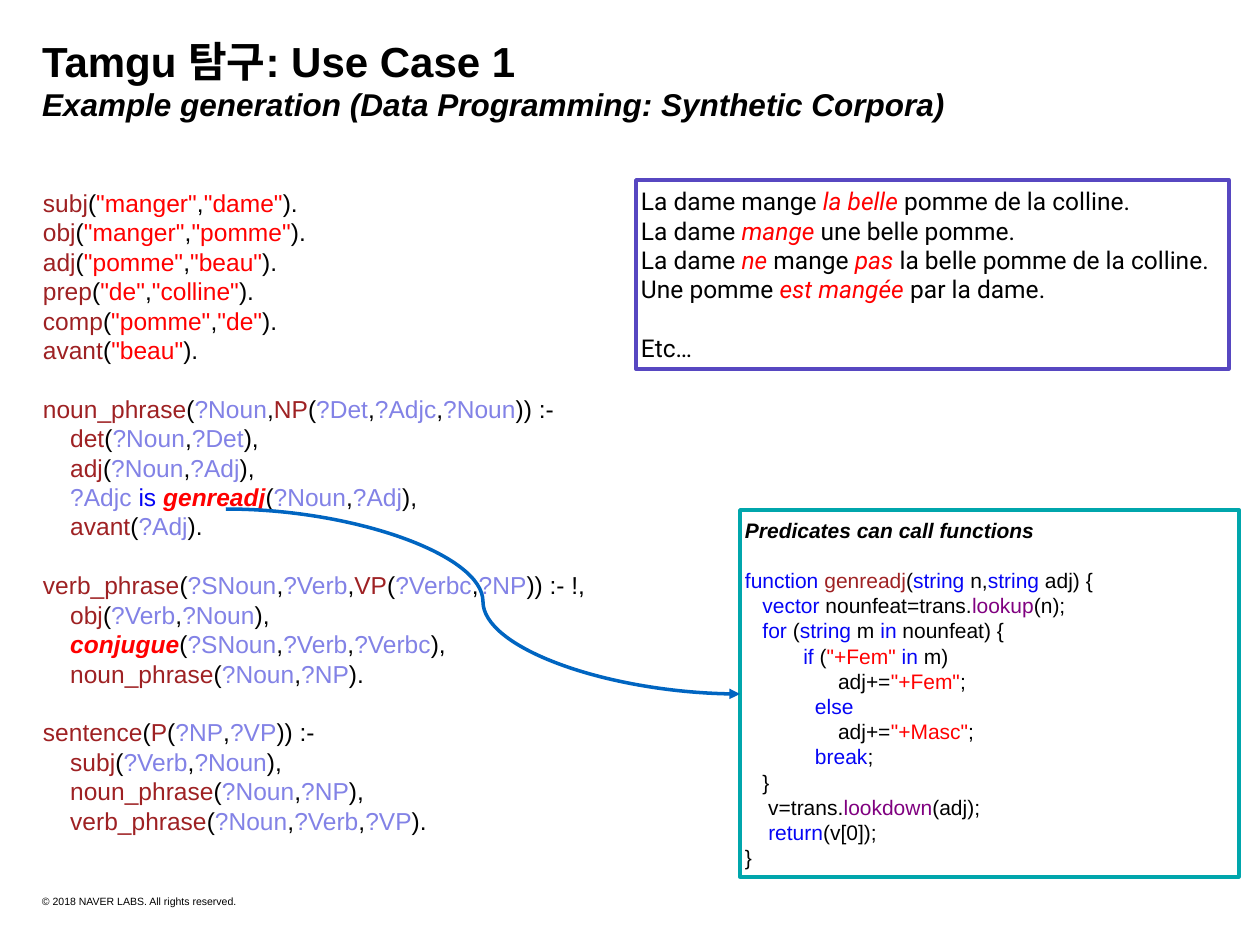
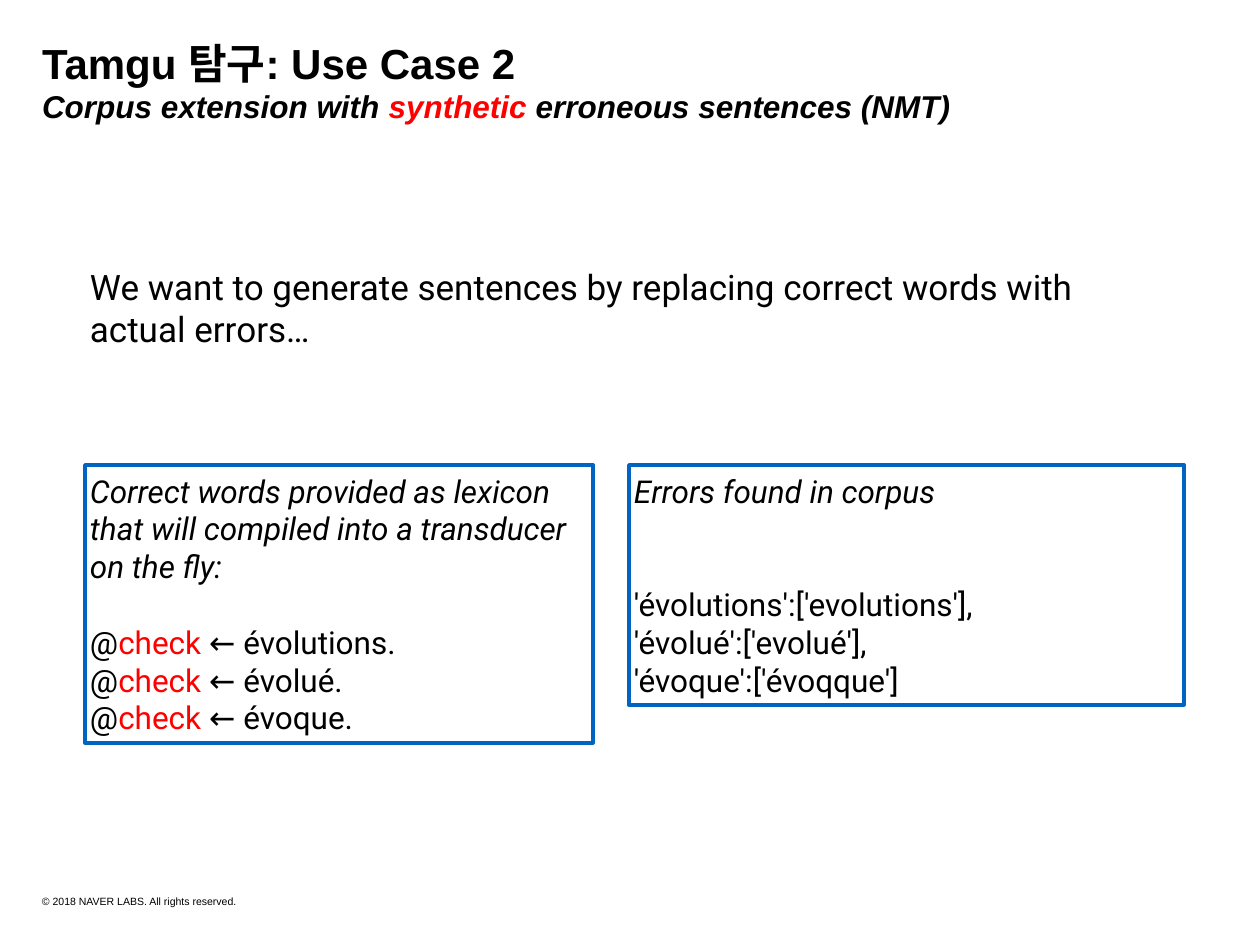
"""Build two slides on Tamgu use cases."""
from itertools import groupby
from typing import NamedTuple

from lxml import etree
from pptx import Presentation
from pptx.dml.color import RGBColor
from pptx.enum.shapes import MSO_CONNECTOR, MSO_SHAPE
from pptx.enum.text import MSO_ANCHOR, PP_ALIGN
from pptx.oxml.ns import qn
from pptx.slide import Slide
from pptx.text.text import TextFrame
from pptx.util import Emu, Pt

RECT = MSO_SHAPE.RECTANGLE
CURVE = MSO_CONNECTOR.CURVE
TOP, MIDDLE = MSO_ANCHOR.TOP, MSO_ANCHOR.MIDDLE
LEFT = PP_ALIGN.LEFT

BLACK = RGBColor(0, 0, 0)
WHITE = RGBColor(255, 255, 255)
RED = RGBColor(255, 0, 0)
BROWN = RGBColor(0x9E, 0x21, 0x23)
LILAC = RGBColor(0x82, 0x82, 0xE6)
BLUE = RGBColor(0x05, 0x05, 0xF5)
PURPLE = RGBColor(0x80, 0, 0x80)
VIOLET = RGBColor(0x57, 0x47, 0xC1)
TEAL = RGBColor(0, 0xA6, 0xAC)
AZURE = RGBColor(0, 0x65, 0xC1)

ARIAL, ROBOTO = "Arial", "Roboto"
SCALE = 914400 / 126
LEADING = 1.2


class Style(NamedTuple):
    color: RGBColor = BLACK
    bold: bool = False
    italic: bool = False


Line = list[tuple[str, Style]]


class Box(NamedTuple):
    x: int
    y: int
    w: int
    h: int
    lines: list[Line]
    font: str
    size: int
    edge: RGBColor | None = None
    inset: int = 5


PLAIN = Style()
SLANT = Style(italic=True)
STRONG = Style(bold=True)
LEAD = Style(bold=True, italic=True)
HOT = Style(RED)
HOT_SLANT = Style(RED, italic=True)
CALL = Style(RED, True, True)

RULE_WORDS = {"is": Style(BLUE), "genreadj": CALL, "conjugue": CALL}
CODE_WORDS = {
    **dict.fromkeys("function string vector for in if else break return".split(), Style(BLUE)),
    **dict.fromkeys(("lookup", "lookdown"), Style(PURPLE)),
    "genreadj": Style(BROWN),
}

RULES = """\
subj("manger","dame").
obj("manger","pomme").
adj("pomme","beau").
prep("de","colline").
comp("pomme","de").
avant("beau").

noun_phrase(?Noun,NP(?Det,?Adjc,?Noun)) :-
    det(?Noun,?Det),
    adj(?Noun,?Adj),
    ?Adjc is genreadj(?Noun,?Adj),
    avant(?Adj).

verb_phrase(?SNoun,?Verb,VP(?Verbc,?NP)) :- !,
    obj(?Verb,?Noun),
    conjugue(?SNoun,?Verb,?Verbc),
    noun_phrase(?Noun,?NP).

sentence(P(?NP,?VP)) :-
    subj(?Verb,?Noun),
    noun_phrase(?Noun,?NP),
    verb_phrase(?Noun,?Verb,?VP)."""

CODE = """\
function genreadj(string n,string adj) {
   vector nounfeat=trans.lookup(n);
   for (string m in nounfeat) {
          if ("+Fem" in m)
                adj+="+Fem";
            else
                adj+="+Masc";
            break;
   }
    v=trans.lookdown(adj);
    return(v[0]);
}"""

PHRASES = """\
La dame mange *la belle* pomme de la colline.
La dame *mange* une belle pomme.
La dame *ne* mange *pas* la belle pomme de la colline.
Une pomme *est mangée* par la dame.

Etc…"""

LEXICON = """\
Correct words provided as lexicon
that will compiled into a transducer
on the fly:"""

CHECKS = """\
@*check* ← évolutions.
@*check* ← évolué.
@*check* ← évoque."""

ERRORS = """\
'évolutions':['evolutions'],
'évolué':['evolué'],
'évoque':['évoqque']"""


def px(n: int) -> Emu:
    """Turn pixels into EMU."""
    return Emu(round(n * SCALE))


def mark(text: str, base: Style = PLAIN, accent: Style = HOT) -> list[Line]:
    """Split text into lines, with starred parts in the accent style."""
    return [
        [(part, accent if i % 2 else base) for i, part in enumerate(row.split("*")) if part]
        for row in text.split("\n")
    ]


def is_word(char: str) -> bool:
    """Tell whether a character belongs to a code word."""
    return char.isalnum() or char in '_?"+'


def lex(text: str, words: dict[str, Style], base: Style) -> list[Line]:
    """Split code into lines of coloured words."""
    def style(word: str) -> Style:
        """Choose the style of one word."""
        first = {'"': HOT, "?": Style(LILAC)}.get(word[0], base)
        return words.get(word, first)

    lines = []
    for row in text.split("\n"):
        parts = [(word, "".join(run)) for word, run in groupby(row, is_word)]
        lines.append([(part, style(part) if word else PLAIN) for word, part in parts])
    return lines


def write(frame: TextFrame, lines: list[Line], font: str, size: int) -> None:
    """Append lines, turning empty ones into space before the next."""
    gap = 0
    for line in lines:
        if not line:
            gap += 1
            continue
        para = frame.paragraphs[0]
        if para.runs:
            para = frame.add_paragraph()
        para.alignment = LEFT
        para.line_spacing = Pt(size * LEADING)
        para.space_before = Pt(gap * size * LEADING)
        para.font.name = font
        para.font.size = Pt(size)
        gap = 0
        for text, style in line:
            run = para.add_run()
            run.text = text
            run.font.color.rgb = style.color
            run.font.bold = style.bold
            run.font.italic = style.italic


def setup(frame: TextFrame, inset: int, anchor: MSO_ANCHOR) -> None:
    """Set wrap, margins and anchor of a frame."""
    frame.word_wrap = True
    frame.vertical_anchor = anchor
    frame.margin_left = frame.margin_right = px(inset)
    frame.margin_top = frame.margin_bottom = px(inset)


def draw(slide: Slide, box: Box) -> None:
    """Draw a text box, or a framed one when it has an edge."""
    place = [px(n) for n in box[:4]]
    if box.edge is None:
        shape = slide.shapes.add_textbox(*place)
    else:
        shape = slide.shapes.add_shape(RECT, *place)
        shape.shadow.inherit = False
        shape.fill.solid()
        shape.fill.fore_color.rgb = WHITE
        shape.line.color.rgb = box.edge
        shape.line.width = Pt(2)
    setup(shape.text_frame, box.inset, MIDDLE)
    write(shape.text_frame, box.lines, box.font, box.size)


def arrow(slide: Slide, x1: int, y1: int, x2: int, y2: int) -> None:
    """Draw a curved arrow."""
    link = slide.shapes.add_connector(CURVE, px(x1), px(y1), px(x2), px(y2))
    link.line.color.rgb = AZURE
    link.line.width = Pt(2)
    etree.SubElement(link.line._get_or_add_ln(), qn("a:tailEnd"), type="triangle")
    etree.SubElement(link._element.spPr, qn("a:effectLst"))


FOOTER = Box(38, 892, 275, 18, mark("© 2018 NAVER LABS. All rights reserved."), ARIAL, 6, inset=4)


def start(deck: Presentation, number: int, topic: str, y: int) -> Slide:
    """Add a slide with its title and footer."""
    slide = deck.slides.add_slide(deck.slide_layouts[5])
    title = slide.shapes.title
    title.left, title.top, title.width, title.height = px(38), px(y), px(1062), px(97)
    frame = title.text_frame
    setup(frame, 4, TOP)
    write(frame, mark(f"Tamgu 탐구: Use Case {number}", STRONG), ARIAL, 24)
    write(frame, mark(topic, LEAD, CALL), ARIAL, 18)
    draw(slide, FOOTER)
    return slide


def main() -> None:
    """Build and save the deck."""
    deck = Presentation()
    deck.slide_width, deck.slide_height = px(1260), px(945)

    slide = start(deck, 1, "Example generation (Data Programming: Synthetic Corpora)", 31)
    code = mark("Predicates can call functions\n", LEAD) + lex(CODE, CODE_WORDS, PLAIN)
    for box in (
        Box(38, 183, 590, 657, lex(RULES, RULE_WORDS, Style(BROWN)), ARIAL, 14),
        Box(636, 180, 593, 189, mark(PHRASES, accent=HOT_SLANT), ROBOTO, 14, VIOLET),
        Box(740, 510, 499, 367, code, ARIAL, 12, TEAL),
    ):
        draw(slide, box)
    arrow(slide, 226, 509, 740, 694)

    slide = start(deck, 2, "Corpus extension with *synthetic* erroneous sentences (NMT)", 33)
    aim = mark("We want to generate sentences by replacing correct words with actual errors…")
    lexicon = mark(LEXICON + "\n", SLANT) + mark(CHECKS)
    errors = mark("Errors found in corpus\n\n", SLANT) + mark(ERRORS)
    for box in (
        Box(85, 260, 1070, 94, aim, ROBOTO, 20),
        Box(85, 465, 508, 278, lexicon, ROBOTO, 18, AZURE),
        Box(629, 465, 555, 240, errors, ROBOTO, 18, AZURE),
    ):
        draw(slide, box)

    deck.save("out.pptx")


if __name__ == "__main__":
    main()
